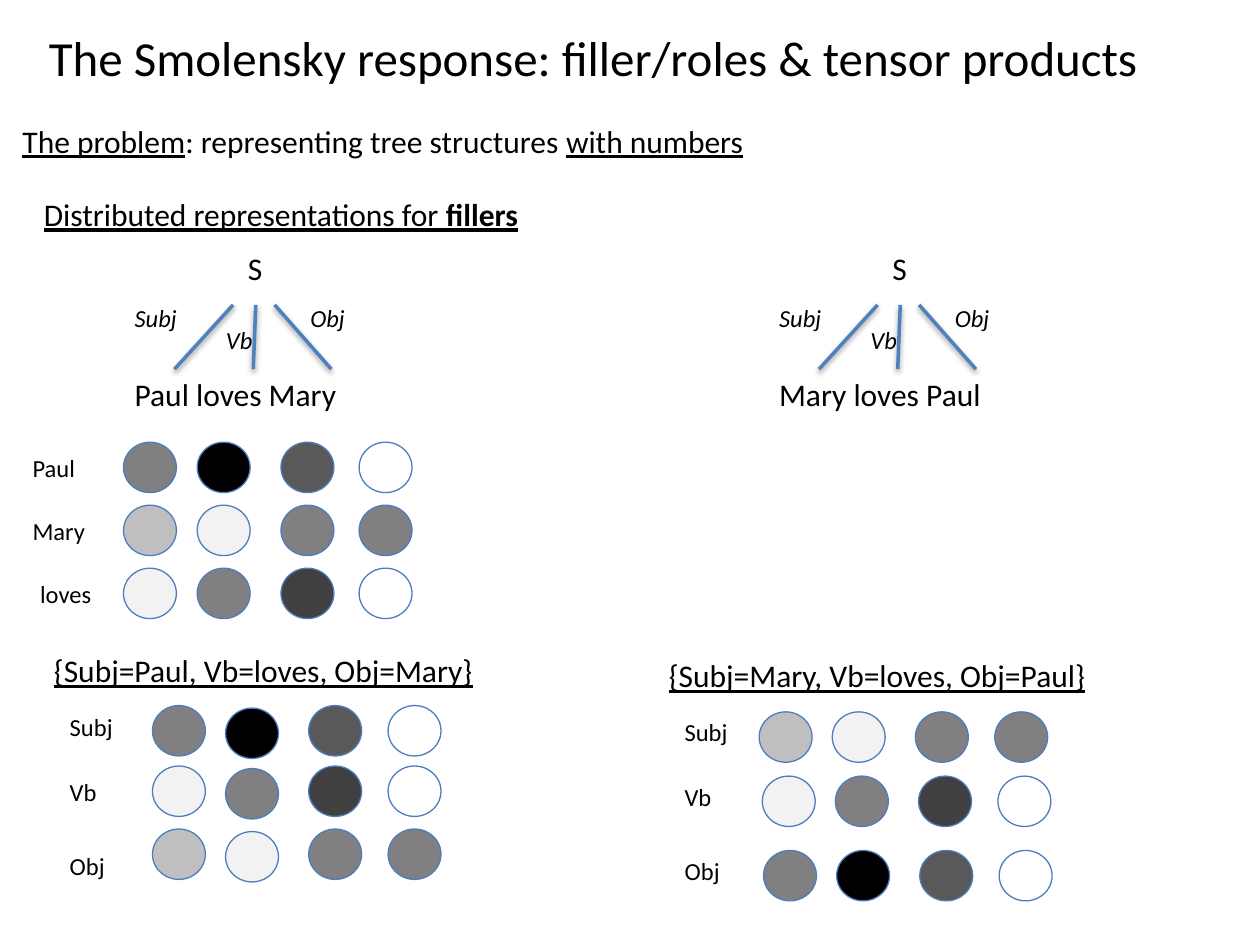
from dataclasses import dataclass
from lxml import etree
from pptx import Presentation
from pptx.dml.color import RGBColor
from pptx.enum.shapes import MSO_CONNECTOR, MSO_SHAPE
from pptx.enum.text import MSO_AUTO_SIZE
from pptx.oxml import parse_xml
from pptx.oxml.ns import nsdecls, qn
from pptx.util import Inches, Pt

STRAIGHT = MSO_CONNECTOR.STRAIGHT
OVAL = MSO_SHAPE.OVAL
GROW = MSO_AUTO_SIZE.SHAPE_TO_FIT_TEXT
FIXED = MSO_AUTO_SIZE.NONE
SLIDE_WIDTH, SLIDE_HEIGHT = Inches(10), Inches(7.5)
COLUMN, ROW = SLIDE_WIDTH / 100, SLIDE_HEIGHT / 75


@dataclass(frozen=True)
class Theme:
    font: str = "Calibri"
    title: int = 28
    body: int = 18
    label: int = 14
    ink: str = "000000"
    branch: str = "4F81BD"
    outline: str = "4B7EBC"
    branch_width: float = 2
    outline_width: float = 0.75


@dataclass(frozen=True)
class Box:
    left: float
    top: float
    width: float
    height: float

    def inner(self, left, top, width, height):
        return Box(self.left + left, self.top + top, width, height)

    def point(self, across, down):
        return round((self.left + across) * COLUMN), round((self.top + down) * ROW)

    def frame(self):
        return (*self.point(0, 0), round(self.width * COLUMN), round(self.height * ROW))


THEME = Theme()
UNIT_WIDTH, UNIT_HEIGHT = 4.2, 4
FILLERS = {
    "Paul": ("808080", "000000", "595959", None),
    "Mary": ("BFBFBF", "F2F2F2", "808080", "808080"),
    "loves": ("F2F2F2", "808080", "404040", None),
}
LABEL_WIDTHS = {"Subj": 5.9, "Vb": 4.6, "Obj": 5.1, "Paul": 5.9, "Mary": 6.5, "loves": 6.6}


def write(slide, box, runs, size, wrap=False, fit=GROW):
    textbox = slide.shapes.add_textbox(*box.frame())
    frame = textbox.text_frame
    frame.word_wrap = wrap
    frame.auto_size = fit
    paragraph = frame.paragraphs[0]
    for words, style in runs:
        run = paragraph.add_run()
        run.text = words
        run.font.name = THEME.font
        run.font.size = Pt(size)
        run.font.color.rgb = RGBColor.from_string(THEME.ink)
        run.font.bold = "b" in style
        run.font.italic = "i" in style
        run.font.underline = "u" in style
    return paragraph


def add_heading(slide, box):
    title = write(slide, box.inner(0, 0, 100, 11.7),
                  [("The Smolensky response: filler/roles & tensor products", "")],
                  THEME.title, True, FIXED)
    indents = title._p.get_or_add_pPr()
    indents.set("marL", str(round(8.1 * COLUMN)))
    indents.set("indent", str(round(-5.2 * COLUMN)))
    write(slide, box.inner(0.8, 7.5, 64.2, 4),
          [("The problem", "u"), (": representing tree structures ", ""),
           ("with numbers", "u")], THEME.body)
    write(slide, box.inner(2.5, 13.3, 43.3, 4),
          [("Distributed representations for ", "u"), ("fillers", "ub")], THEME.body)


def add_branch(slide, start, end):
    branch = slide.shapes.add_connector(STRAIGHT, *start, *end)
    branch.line.color.rgb = RGBColor.from_string(THEME.branch)
    branch.line.width = Pt(THEME.branch_width)
    effects = parse_xml(f"<a:effectLst {nsdecls('a')}/>")
    shadow = etree.SubElement(effects, qn("a:outerShdw"), blurRad="40000",
                              dist="20000", dir="5400000", rotWithShape="0")
    tint = etree.SubElement(shadow, qn("a:srgbClr"), val=THEME.ink)
    etree.SubElement(tint, qn("a:alpha"), val="38000")
    branch._element.spPr.append(effects)


def add_tree(slide, box, sentence):
    write(slide, box.inner(0, 10, box.width, 4), [(sentence, "")], THEME.body, True)
    write(slide, box.inner(9, 0, 3.7, 4), [("S", "")], THEME.body)
    for upper, lower in ((8.8, 4.15), (10.6, 10.4), (12.1, 16.6)):
        add_branch(slide, box.point(upper, 4.9), box.point(lower, 10))
    for role, left, top, width in (("Subj", 0, 4.3, 6.4), ("Vb", 7.25, 6, 4.9),
                                   ("Obj", 13.95, 4.3, 5.6)):
        write(slide, box.inner(left, top, width, 3.4), [(role, "i")], THEME.label)


def add_unit(slide, box, shade):
    unit = slide.shapes.add_shape(OVAL, *box.frame())
    unit.shadow.inherit = False
    unit.line.color.rgb = RGBColor.from_string(THEME.outline)
    unit.line.width = Pt(THEME.outline_width)
    if shade:
        unit.fill.solid()
        unit.fill.fore_color.rgb = RGBColor.from_string(shade)
    else:
        unit.fill.background()


def add_vectors(slide, box, rows, units, drop=0):
    for label, filler, (label_left, label_top), (unit_left, unit_top) in rows:
        write(slide, box.inner(label_left, label_top, LABEL_WIDTHS[label], 3.4),
              [(label, "")], THEME.label)
        for index, (offset, shade) in enumerate(zip(units, FILLERS[filler])):
            top = unit_top + (drop if index == 1 else 0)
            add_unit(slide, box.inner(unit_left + offset, top, UNIT_WIDTH, UNIT_HEIGHT), shade)


def add_fillers(slide, box):
    rows = [(word, word, (left, 5 * index + 0.35), (8.2, 5 * index))
            for index, (word, left) in enumerate((("Paul", 0), ("Mary", 0), ("loves", 0.6)))]
    add_vectors(slide, box, rows, (0, 5.85, 12.5, 18.7))


def add_binding(slide, box, words, unit_lefts, unit_tops, drop=0):
    roles = ("Subj", "Vb", "Obj")
    pairs = ", ".join(f"{role}={word}" for role, word in zip(roles, words))
    write(slide, box.inner(0, 0, box.width, 4), [("{" + pairs + "}", "u")], THEME.body)
    label_places = [(1.25, top) for top in (4.85, 10, 15.85)]
    rows = list(zip(roles, words, label_places, zip(unit_lefts, unit_tops)))
    add_vectors(slide, box, rows, (0, 5.8, 12.4, 18.7), drop)


def main():
    deck = Presentation()
    deck.slide_width, deck.slide_height = SLIDE_WIDTH, SLIDE_HEIGHT
    slide = deck.slides.add_slide(deck.slide_layouts[6])
    add_heading(slide, Box(0, 1.7, 100, 17.3))
    add_tree(slide, Box(9.7, 19.3, 20, 14), "Paul loves Mary")
    add_tree(slide, Box(60.85, 19.3, 20, 14), "Mary loves Paul")
    add_fillers(slide, Box(1.6, 35.1, 31.1, 14))
    add_binding(slide, Box(3.3, 51.2, 39.6, 19), ("Paul", "loves", "Mary"),
                (8.8, 8.8, 8.8), (4.8, 9.6, 14.6), 0.2)
    add_binding(slide, Box(52.1, 51.6, 39.4, 20), ("Mary", "loves", "Paul"),
                (8.15, 8.4, 8.5), (4.9, 10, 15.9))
    deck.save("out.pptx")


if __name__ == "__main__":
    main()
